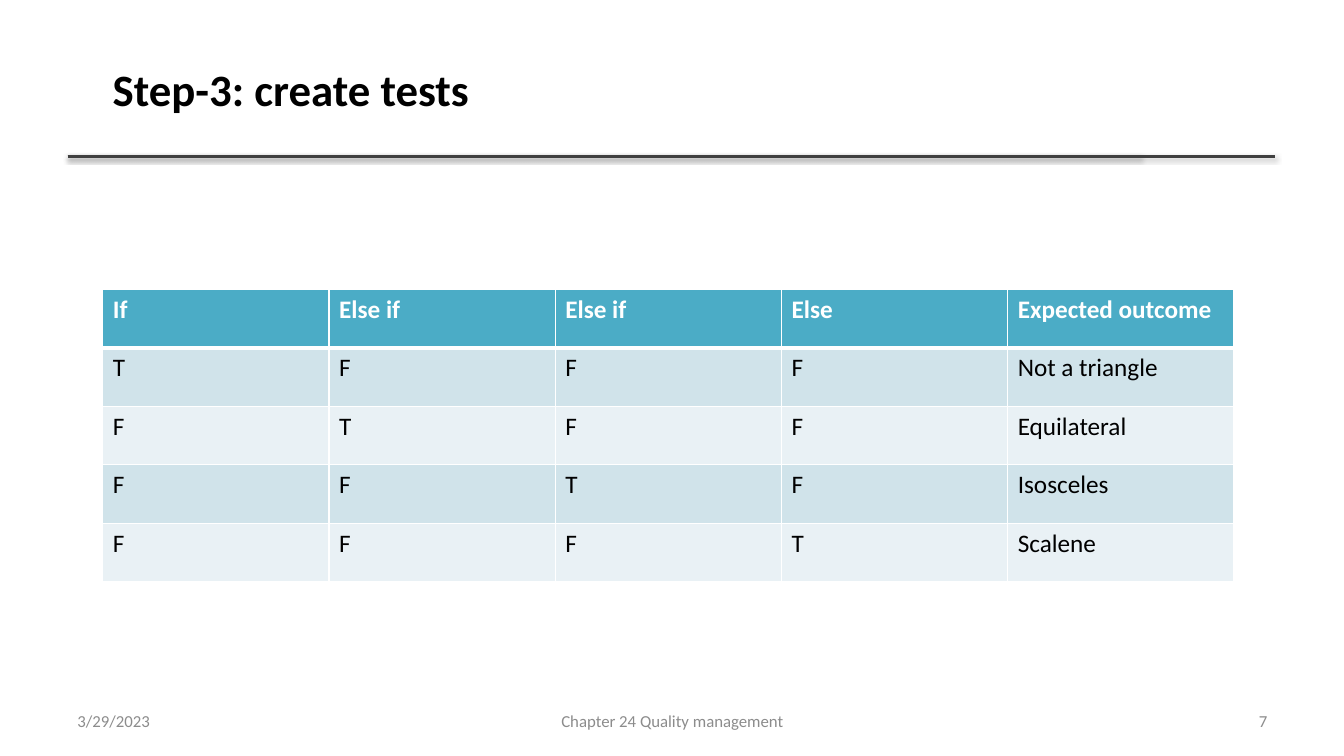
from lxml import etree
from pptx import Presentation
from pptx.dml.color import RGBColor
from pptx.enum.shapes import MSO_CONNECTOR as CONNECTOR
from pptx.enum.text import MSO_ANCHOR as ANCHOR, MSO_AUTO_SIZE as AUTO_SIZE, PP_ALIGN as ALIGN
from pptx.oxml import parse_xml
from pptx.oxml.ns import nsdecls, qn
from pptx.util import Inches, Pt

FONT = "Calibri"
HEADINGS = ["If", "Else if", "Else if", "Else", "Expected outcome"]
OUTCOMES = ["Not a triangle", "Equilateral", "Isosceles", "Scalene"]


def color(hex_code):
    return RGBColor.from_string(hex_code)


def style(paragraph, size, hex_code, bold=False, align=ALIGN.LEFT):
    paragraph.alignment = align
    font = paragraph.font
    font.name, font.size, font.bold = FONT, Pt(size), bold
    font.color.rgb = color(hex_code)


def add_text(slide, box, text, size, hex_code, bold=False, align=ALIGN.LEFT,
             anchor=ANCHOR.TOP, wrap=True):
    frame = slide.shapes.add_textbox(*map(Inches, box)).text_frame
    frame.word_wrap = wrap
    frame.auto_size = AUTO_SIZE.NONE if wrap else AUTO_SIZE.SHAPE_TO_FIT_TEXT
    frame.vertical_anchor = anchor
    frame.text = text
    style(frame.paragraphs[0], size, hex_code, bold, align)


def add_rules(slide, left, top, widths):
    for width in widths:
        rule = slide.shapes.add_connector(
            CONNECTOR.STRAIGHT, Inches(left), Inches(top), Inches(left + width), Inches(top))
        rule.line.color.rgb = color("404040")
        rule.line.width = Pt(2)
        rule._element.spPr.append(parse_xml(
            f'<a:effectLst {nsdecls("a")}>'
            f'<a:outerShdw blurRad="{Pt(3.1)}" dist="{Pt(1.6)}" dir="5400000" rotWithShape="0">'
            '<a:srgbClr val="000000"><a:alpha val="38000"/></a:srgbClr>'
            '</a:outerShdw></a:effectLst>'))


def add_borders(cell, widths):
    properties = cell._tc.get_or_add_tcPr()
    for side, width in widths.items():
        border = etree.SubElement(properties, qn(f"a:ln{side}"), w=str(Pt(width)))
        fill = etree.SubElement(border, qn("a:solidFill"))
        etree.SubElement(fill, qn("a:srgbClr"), val="FFFFFF")


def add_tests(slide, box):
    outcome_count = len(OUTCOMES)
    tests = [["T" if column == row else "F" for column in range(outcome_count)] + [outcome]
             for row, outcome in enumerate(OUTCOMES)]
    rows = [HEADINGS] + tests
    left, top, width, height = map(Inches, box)
    table = slide.shapes.add_table(
        len(rows), len(HEADINGS), left, top, width, height).table
    for r, row in enumerate(rows):
        heading = r == 0
        fill = "4BACC6" if heading else ("E9F1F5", "D0E3EA")[r % 2]
        for c, text in enumerate(row):
            cell = table.cell(r, c)
            cell.text = text
            style(cell.text_frame.paragraphs[0], 18,
                  "FFFFFF" if heading else "000000", bold=heading)
            add_borders(cell, {"L": 1, "R": 1, "T": 3 if r == 1 else 1, "B": 3 if heading else 1})
            cell.fill.solid()
            cell.fill.fore_color.rgb = color(fill)


def add_footer(slide, left, top, width, height):
    side, middle = 3.11, 4.22
    for text, x, part_width, align in (
            ("Chapter 24 Quality management", left + (width - middle) / 2, middle, ALIGN.CENTER),
            ("7", left + width - side, side, ALIGN.RIGHT),
            ("3/29/2023", left, side, ALIGN.LEFT)):
        add_text(slide, (x, top, part_width, height), text, 12, "8C8C8C",
                 align=align, anchor=ANCHOR.MIDDLE)


def main():
    deck = Presentation()
    deck.slide_width, deck.slide_height = Inches(13.33), Inches(7.5)
    slide = deck.slides.add_slide(deck.slide_layouts[6])
    add_rules(slide, 0.67, 1.55, (10.65, 11.98))
    add_footer(slide, 0.67, 6.95, 12, 0.4)
    add_text(slide, (1.02, 0.56, 3.77, 0.64), "Step-3: create tests", 32, "000000",
             bold=True, wrap=False)
    add_tests(slide, (1.02, 2.87, 11.22, 2.9))
    deck.save("out.pptx")


if __name__ == "__main__":
    main()
